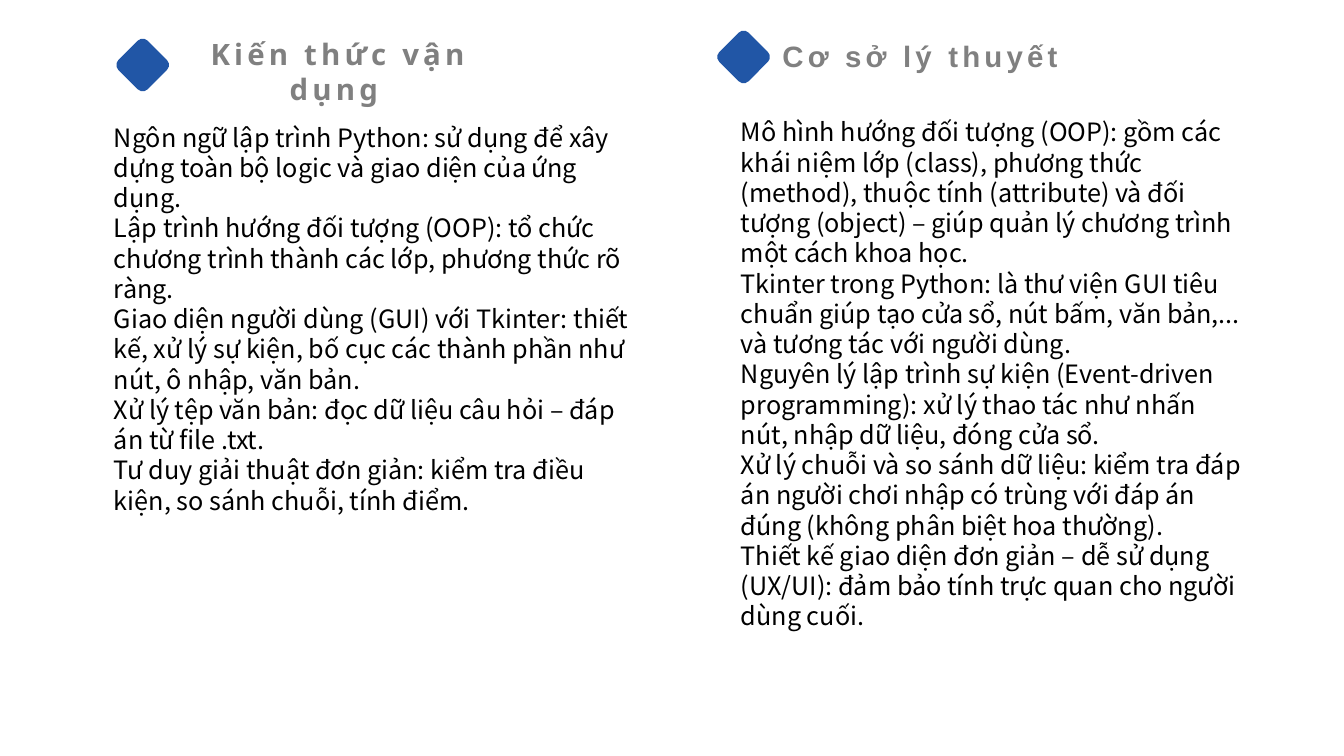
from pptx import Presentation
from pptx.dml.color import RGBColor
from pptx.enum.shapes import MSO_SHAPE as SHAPE
from pptx.enum.text import MSO_ANCHOR as ANCHOR, PP_ALIGN as ALIGN
from pptx.util import Pt

PX = 9144  # 100 px to the inch

KNOWLEDGE = [
    "Ngôn ngữ lập trình Python: sử dụng để xây dựng toàn bộ logic và giao diện của ứng dụng.",
    "Lập trình hướng đối tượng (OOP): tổ chức chương trình thành các lớp, phương thức rõ ràng.",
    "Giao diện người dùng (GUI) với Tkinter: thiết kế, xử lý sự kiện, bố cục các thành phần như nút, ô nhập, văn bản.",
    "Xử lý tệp văn bản: đọc dữ liệu câu hỏi – đáp án từ file .txt.",
    "Tư duy giải thuật đơn giản: kiểm tra điều kiện, so sánh chuỗi, tính điểm.",
]
THEORY = [
    "Mô hình hướng đối tượng (OOP): gồm các khái niệm lớp (class), phương thức (method), thuộc tính (attribute) và đối tượng (object) – giúp quản lý chương trình một cách khoa học.",
    "Tkinter trong Python: là thư viện GUI tiêu chuẩn giúp tạo cửa sổ, nút bấm, văn bản,... và tương tác với người dùng.",
    "Nguyên lý lập trình sự kiện (Event-driven programming): xử lý thao tác như nhấn nút, nhập dữ liệu, đóng cửa sổ.",
    "Xử lý chuỗi và so sánh dữ liệu: kiểm tra đáp án người chơi nhập có trùng với đáp án đúng (không phân biệt hoa thường).",
    "Thiết kế giao diện đơn giản – dễ sử dụng (UX/UI): đảm bảo tính trực quan cho người dùng cuối.",
]


def rgb(color):
    return RGBColor.from_string(color)


class Deck:
    blue, gray, black = "2156A6", "808080", "000000"
    body_font = "Noto Sans CJK SC"

    def __init__(self, width, height):
        self.prs = Presentation()
        self.prs.slide_width, self.prs.slide_height = width * PX, height * PX
        self.slide = self.prs.slides.add_slide(self.prs.slide_layouts[6])

    def text_box(self, x, y, w, h, insets):
        """Add a wrapping box; insets are left, top, right, bottom."""
        sp = self.slide.shapes.add_textbox(x * PX, y * PX, w * PX, h * PX)
        tf = sp.text_frame
        tf.word_wrap = True
        tf.vertical_anchor = ANCHOR.TOP
        tf.margin_left, tf.margin_top, tf.margin_right, tf.margin_bottom = (
            inset * PX for inset in insets)
        return tf

    def run(self, p, text, font, size, color, bold=False):
        r = p.add_run()
        r.text = text
        r.font.name, r.font.size, r.font.bold = font, Pt(size), bold
        r.font.color.rgb = rgb(color)
        return r

    def heading(self, x, y, text, font, align):
        p = self.text_box(x, y, 356, 36, (0, 0, 0, 0)).paragraphs[0]
        p.alignment = align
        p.line_spacing = Pt(25)
        r = self.run(p, text, font, 21, self.gray, bold=True)
        r.font._element.set("spc", "300")

    def diamond(self, x, y):
        sp = self.slide.shapes.add_shape(
            SHAPE.ROUNDED_RECTANGLE, x * PX, y * PX, 41 * PX, 41 * PX)
        sp.rotation = 45
        sp.shadow.inherit = False
        sp.fill.solid()
        sp.fill.fore_color.rgb = rgb(self.blue)
        sp.line.fill.background()

    def body(self, x, y, w, h, insets, lines, columns=1):
        tf = self.text_box(x, y, w, h, insets)
        if columns > 1:
            body_pr = tf._txBody.bodyPr
            body_pr.set("numCol", str(columns))
            body_pr.set("spcCol", str(30 * PX))
        for i, line in enumerate(lines):
            p = tf.add_paragraph() if i else tf.paragraphs[0]
            p.line_spacing = Pt(21.6)
            self.run(p, line, self.body_font, 18, self.black)


def main():
    deck = Deck(1333, 750)
    deck.heading(159, 36, "Kiến thức vận dụng ", "Noto Sans", ALIGN.CENTER)
    deck.diamond(121, 44)
    deck.body(113, 121, 1068, 459, (0, 0, 10, 0), KNOWLEDGE, columns=2)
    deck.heading(776, 38, "Cơ sở lý thuyết", "Arial", ALIGN.LEFT)
    deck.diamond(717, 36)
    deck.body(725, 111, 516, 390, (10, 5, 10, 5), THEORY)
    deck.prs.save("out.pptx")


if __name__ == "__main__":
    main()
